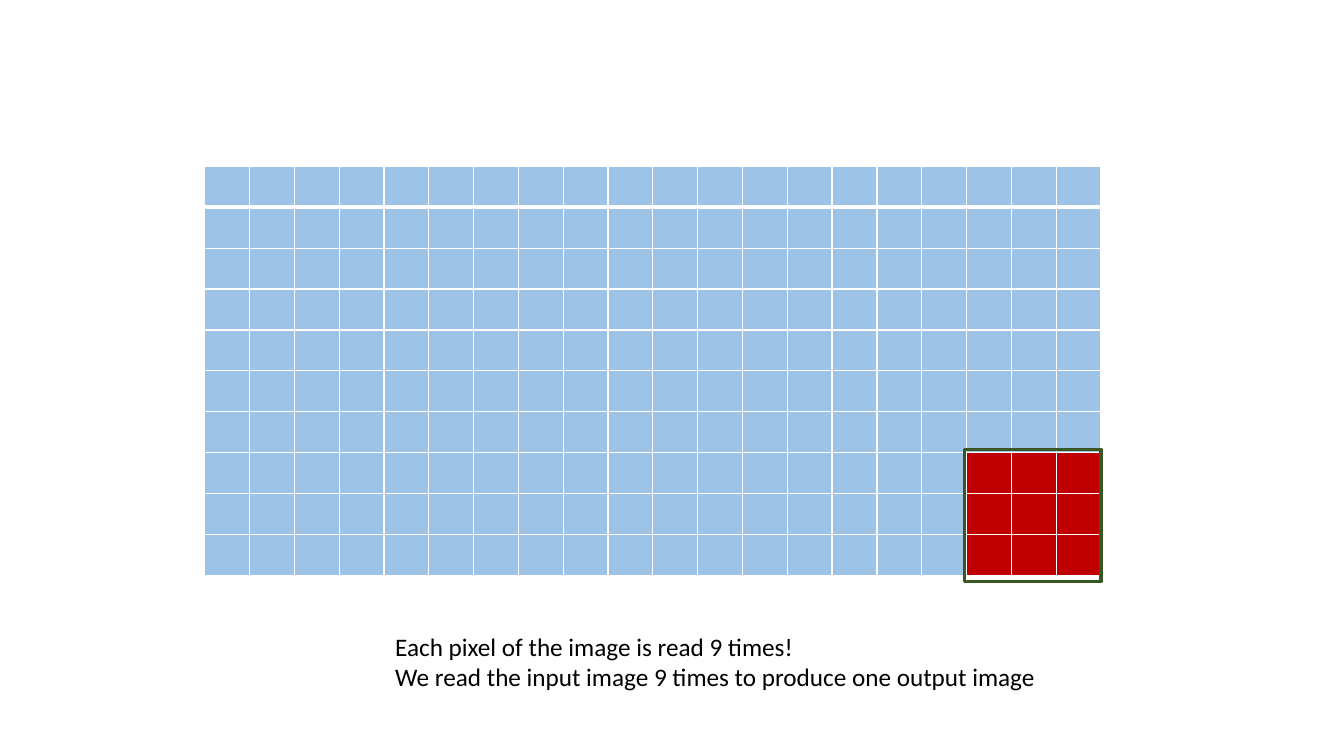
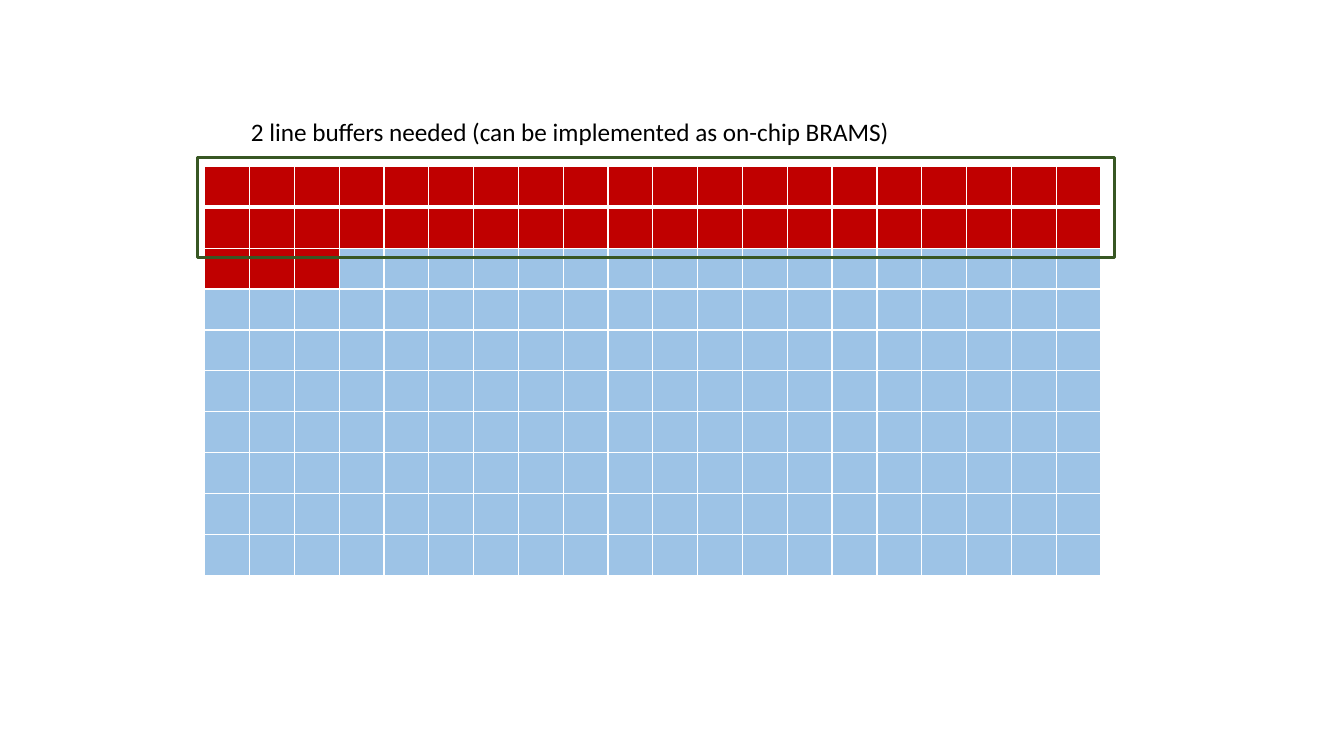
from pptx import Presentation, util as u
from pptx.dml.color import RGBColor
from pptx.enum import shapes, text
from pptx.oxml import parse_xml
from pptx.oxml.ns import nsdecls

# Colours
PIXEL_BLUE = RGBColor(0x9D, 0xC3, 0xE6)
READ_RED = RGBColor(0xC0, 0x00, 0x00)
FRAME_GREEN = RGBColor(0x38, 0x57, 0x23)
WHITE = RGBColor(0xFF, 0xFF, 0xFF)
BLACK = RGBColor(0x00, 0x00, 0x00)

# Pixel grid, on which everything is placed
COLUMNS, ROWS = 20, 10
LEFT, TOP = u.Inches(2.03), u.Inches(1.65)
WIDTH, HEIGHT = u.Inches(8.89), u.Inches(4.06)
KERNEL = 3


class PixelDeck:
    """Slides that show which pixels of an image have been read."""

    font, size = "Calibri", u.Pt(18)
    frame_width = u.Pt(2.25)

    def __init__(self):
        self.deck = Presentation()
        self.deck.slide_width = u.Inches(13.33)
        self.deck.slide_height = u.Inches(7.5)
        self.slide = None

    def new_slide(self):
        self.slide = self.deck.slides.add_slide(self.deck.slide_layouts[6])

    def box(self, column, row, columns, rows):
        """Turn columns and rows of the pixel grid into slide lengths."""
        across, down = WIDTH / COLUMNS, HEIGHT / ROWS
        return (round(LEFT + column * across), round(TOP + row * down),
                round(columns * across), round(rows * down))

    def borders(self, cell, **points):
        properties = cell._tc.get_or_add_tcPr()
        for side, width in points.items():
            properties.append(parse_xml(
                f'<a:ln{side} {nsdecls("a")} w="{u.Pt(width)}"><a:solidFill>'
                f'<a:srgbClr val="{WHITE}"/></a:solidFill></a:ln{side}>'))

    def image(self, is_read):
        """Draw the image; is_read(column, row) picks the red pixels."""
        pixels = self.slide.shapes.add_table(
            ROWS, COLUMNS, *self.box(0, 0, COLUMNS, ROWS)).table
        pixels.horz_banding = False
        for row in range(ROWS):
            above = 3 if row == 1 else 1
            below = 3 if row == 0 else 1
            for column in range(COLUMNS):
                pixel = pixels.cell(row, column)
                self.borders(pixel, L=1, R=1, T=above, B=below)
                pixel.fill.solid()
                pixel.fill.fore_color.rgb = (
                    READ_RED if is_read(column, row) else PIXEL_BLUE)

    def frame(self, *place):
        outline = self.slide.shapes.add_shape(
            shapes.MSO_SHAPE.RECTANGLE, *self.box(*place))
        outline.shadow.inherit = False
        outline.fill.background()
        outline.line.color.rgb = FRAME_GREEN
        outline.line.width = self.frame_width

    def caption(self, lines, *place):
        frame = self.slide.shapes.add_textbox(*self.box(*place)).text_frame
        frame.word_wrap = False
        frame.auto_size = text.MSO_AUTO_SIZE.SHAPE_TO_FIT_TEXT
        frame.text = "\n".join(lines)
        for line in frame.paragraphs:
            line.font.name = self.font
            line.font.size = self.size
            line.font.color.rgb = BLACK


def main():
    show = PixelDeck()

    # Last position of the 3 x 3 window
    show.new_slide()
    show.image(lambda column, row:
               column >= COLUMNS - KERNEL and row >= ROWS - KERNEL)
    show.frame(16.96, 6.92, 3.04, 3.23)
    show.caption(["Each pixel of the image is read 9 times!",
                  "We read the input image 9 times to produce one output image"],
                 4.03, 11.23, 14.92, 1.75)

    # Two buffered lines and the first pixels of the third
    buffered = 2 * COLUMNS + KERNEL
    show.new_slide()
    show.image(lambda column, row: row * COLUMNS + column < buffered)
    show.frame(-0.16, -0.22, 20.47, 2.44)
    show.caption(["2 line buffers needed (can be implemented as on-chip BRAMS)"],
                 0.81, -1.35, 14.76, 0.99)

    show.deck.save("out.pptx")


if __name__ == "__main__":
    main()
